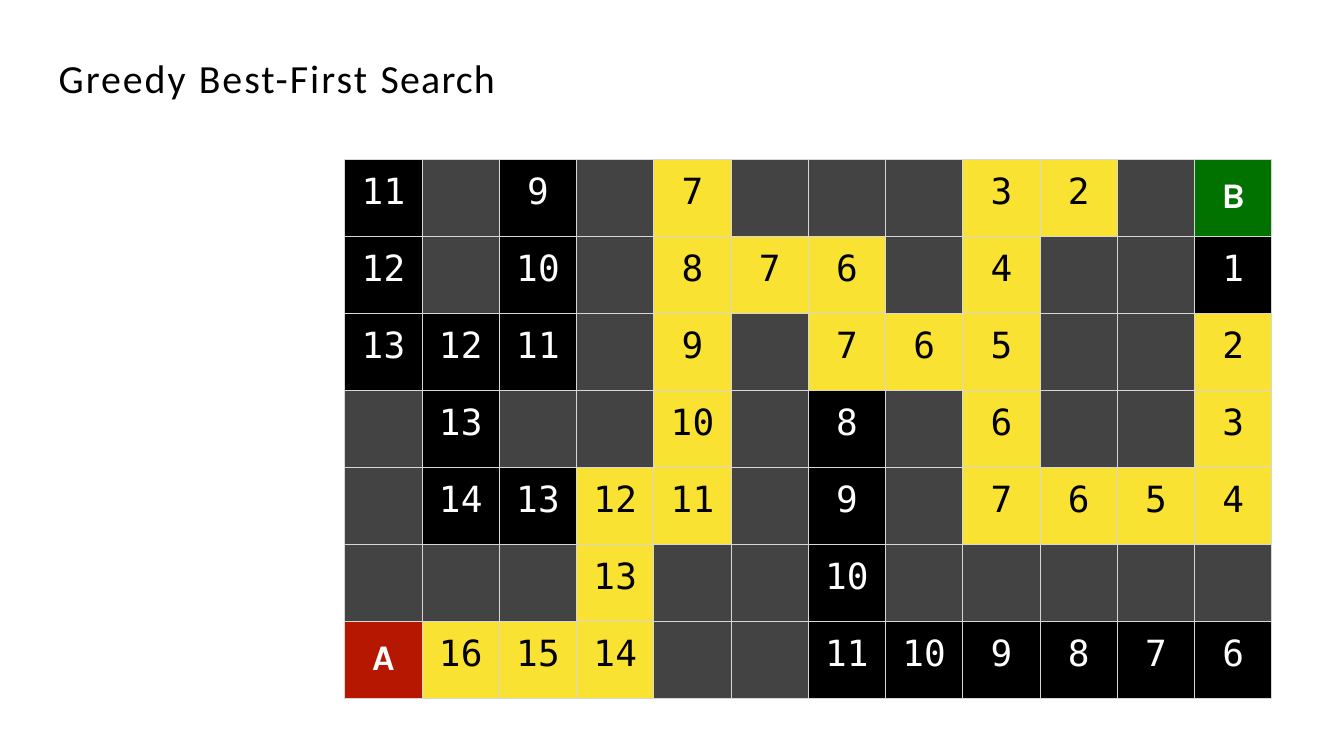
from dataclasses import dataclass

from lxml.etree import SubElement
from pptx import Presentation
from pptx.dml.color import RGBColor
from pptx.enum.text import MSO_AUTO_SIZE as AutoSize, MSO_ANCHOR as Anchor, PP_ALIGN as Align
from pptx.oxml.ns import qn
from pptx.util import Cm, Pt


@dataclass(frozen=True)
class Theme:
    black: RGBColor = RGBColor.from_string("000000")
    white: RGBColor = RGBColor.from_string("FFFFFF")
    wall: RGBColor = RGBColor.from_string("434343")
    path_fill: RGBColor = RGBColor.from_string("FAE232")
    start: RGBColor = RGBColor.from_string("B51700")
    goal: RGBColor = RGBColor.from_string("017100")
    grid_line: str = "D6D7D6"
    title_font: str = "Calibri"
    number_font: str = "DejaVu Sans Mono"
    letter_font: str = "Karla"
    title_size: Pt = Pt(47)
    cell_size: Pt = Pt(42.5)


theme = Theme()


def add_run(paragraph, text, color, spacing, formats):
    run = paragraph.add_run()
    run.text = text
    for name, value in formats.items():
        setattr(run.font, name, value)
    run.font.color.rgb = color
    run._r.get_or_add_rPr().set("spc", str(spacing))


def add_borders(cell):
    properties = cell._tc.get_or_add_tcPr()
    for side in ("lnL", "lnR", "lnT", "lnB"):
        line = SubElement(properties, qn(f"a:{side}"), w=str(Pt(1)))
        fill = SubElement(line, qn("a:solidFill"))
        SubElement(fill, qn("a:srgbClr"), val=theme.grid_line)


presentation = Presentation()
presentation.slide_width, presentation.slide_height = Cm(55.85), Cm(31.42)
slide = presentation.slides.add_slide(presentation.slide_layouts[5])

title = slide.shapes.title
title_box = {"left": Cm(2.44), "top": Cm(2.18), "width": Cm(20.5), "height": Cm(2.06)}
for name, value in title_box.items():
    setattr(title, name, value)
title_frame = {
    "margin_left": 0, "margin_right": 0, "margin_top": Cm(0.03), "margin_bottom": 0,
    "vertical_anchor": Anchor.MIDDLE, "auto_size": AutoSize.NONE, "word_wrap": True,
}
for name, value in title_frame.items():
    setattr(title.text_frame, name, value)
title_paragraph = title.text_frame.paragraphs[0]
title_paragraph.alignment = Align.LEFT
title_format = {"name": theme.title_font, "size": theme.title_size}
for text, spacing in (("Greedy ", 230), ("Best-First ", 240), ("Search", 140)):
    add_run(title_paragraph, text, theme.black, spacing, title_format)

# "#" is a wall, "*" marks a visited square
maze = [
    "11 # 9 # *7 # # # *3 *2 # B",
    "12 # 10 # *8 *7 *6 # *4 # # 1",
    "13 12 11 # *9 # *7 *6 *5 # # *2",
    "# 13 # # *10 # 8 # *6 # # *3",
    "# 14 13 *12 *11 # 9 # *7 *6 *5 *4",
    "# # # *13 # # 10 # # # # #",
    "A *16 *15 *14 # # 11 10 9 8 7 6",
]
squares = [row.split() for row in maze]
row_count, column_count = len(squares), len(squares[0])
cell_width, cell_height = Cm(3.21), Cm(3.2)

table = slide.shapes.add_table(
    row_count, column_count, Cm(14.33), Cm(6.63),
    cell_width * column_count, cell_height * row_count,
).table
table.first_row = table.horz_banding = False
for column in table.columns:
    column.width = cell_width
for row in table.rows:
    row.height = cell_height

special_fills = {"#": theme.wall, "A": theme.start, "B": theme.goal}
number_format = {"name": theme.number_font, "size": theme.cell_size, "bold": False}
letter_format = {"name": theme.letter_font, "size": theme.cell_size, "bold": True}

for row_index, row in enumerate(squares):
    for column_index, square in enumerate(row):
        cell = table.cell(row_index, column_index)
        add_borders(cell)
        visited = square.startswith("*")
        label = square.strip("*#")
        cell.fill.solid()
        cell.fill.fore_color.rgb = (
            theme.path_fill if visited else special_fills.get(square, theme.black)
        )
        if not label:
            continue
        is_letter = label.isalpha()
        cell_format = {
            "margin_left": 0, "margin_right": 0, "margin_bottom": 0,
            "margin_top": Cm(0.65 if is_letter else 0.46),
        }
        for name, value in cell_format.items():
            setattr(cell, name, value)
        paragraph = cell.text_frame.paragraphs[0]
        paragraph.alignment = Align.CENTER
        add_run(
            paragraph, label, theme.black if visited else theme.white,
            20 if len(label) > 1 else 0,
            letter_format if is_letter else number_format,
        )

presentation.save("out.pptx")
